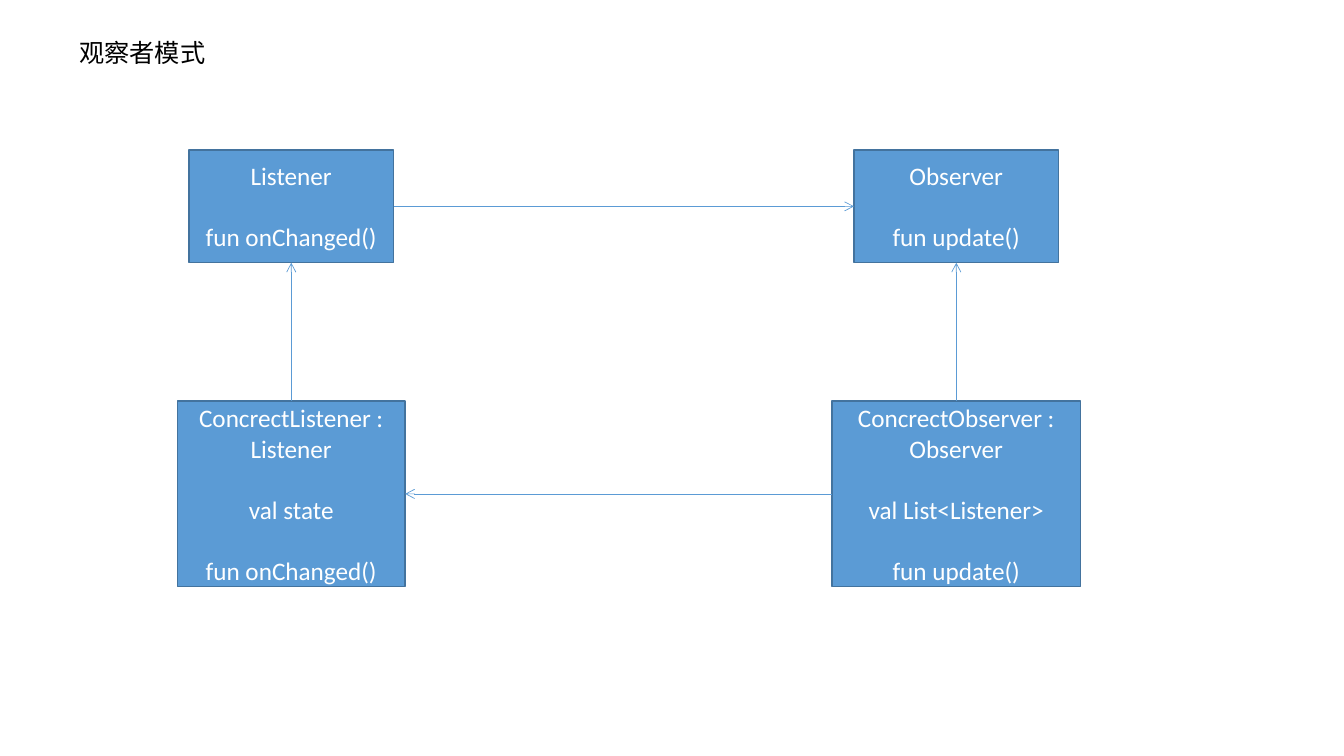
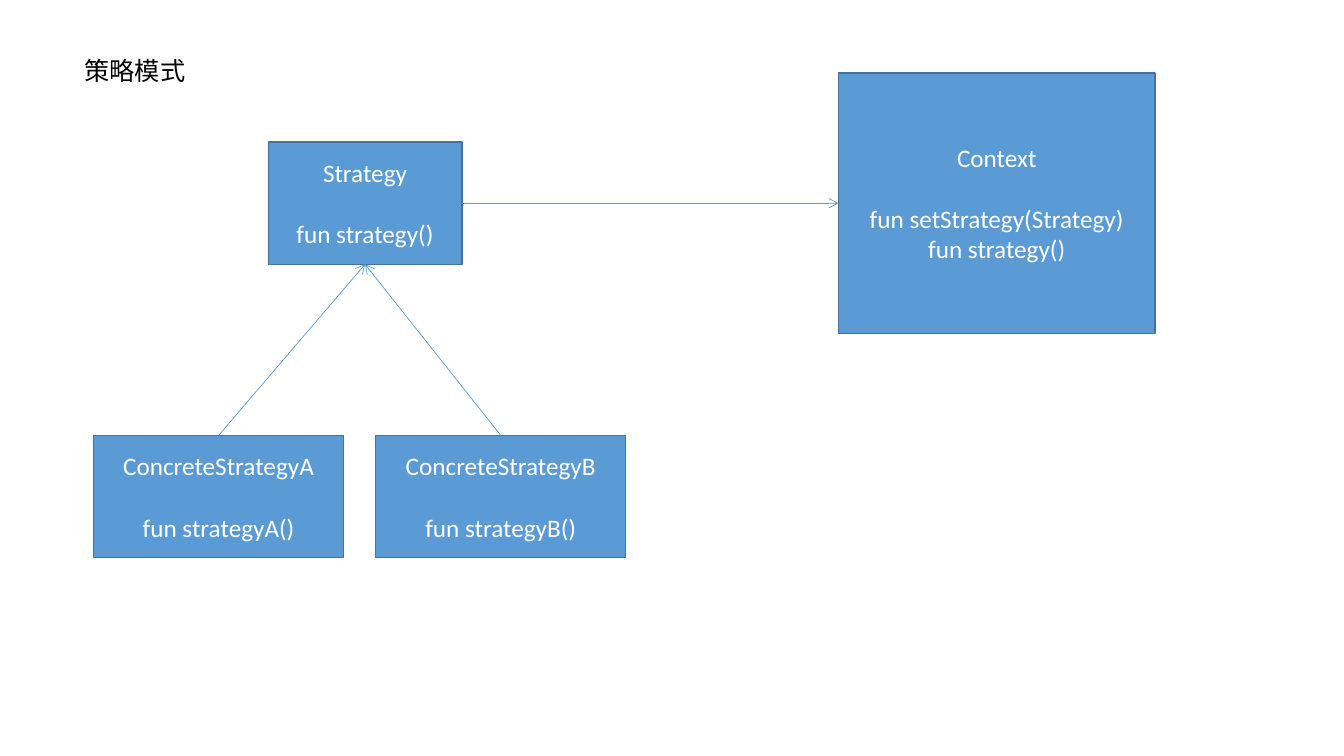
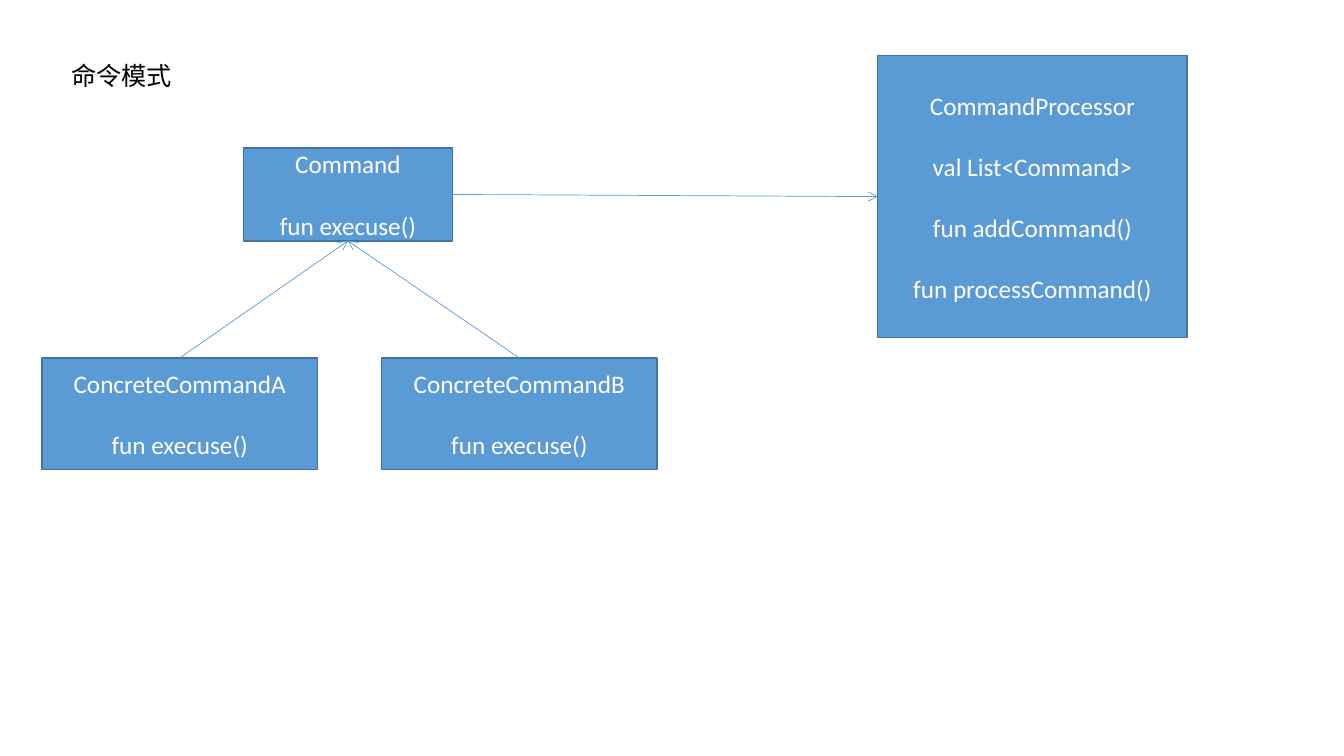
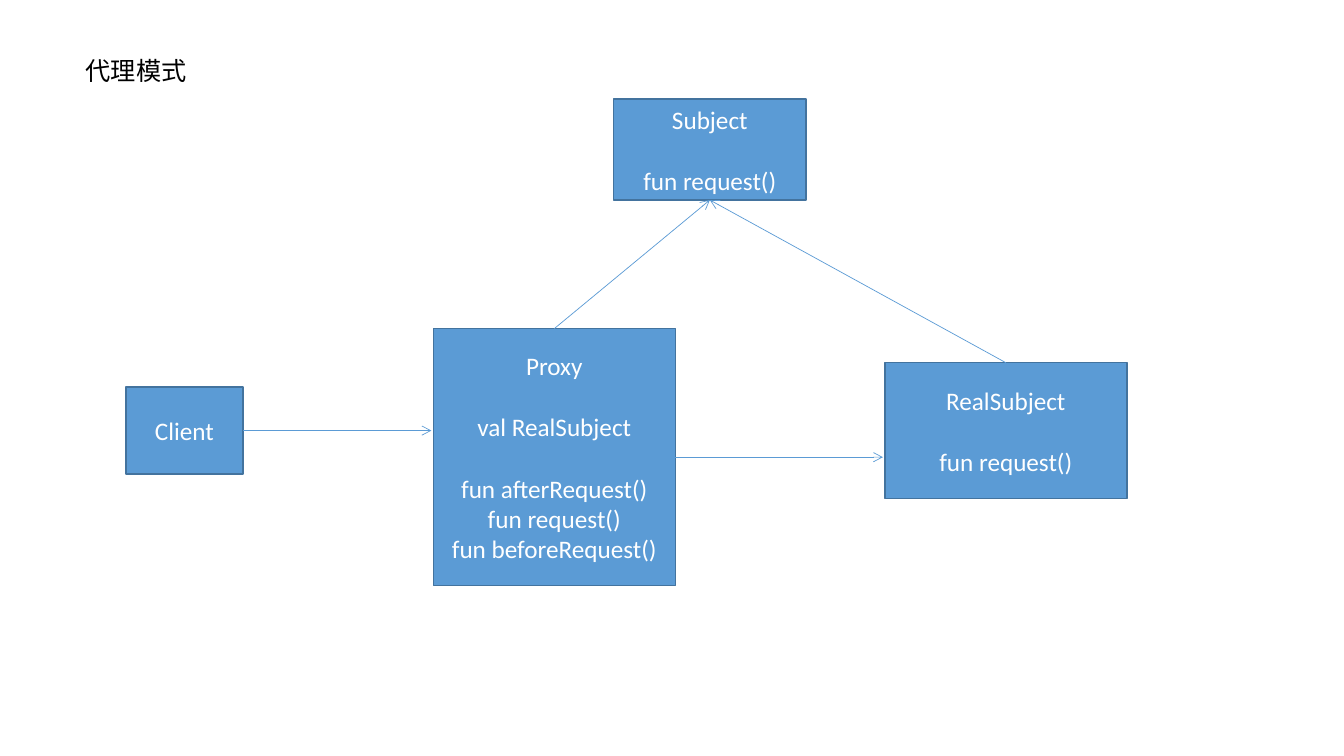
from lxml import etree
from pptx import Presentation
from pptx.dml.color import RGBColor
from pptx.enum.shapes import MSO_CONNECTOR, MSO_SHAPE
from pptx.enum.text import MSO_ANCHOR, MSO_AUTO_SIZE, PP_ALIGN
from pptx.oxml.ns import qn
from pptx.util import Cm, Pt

RECT = MSO_SHAPE.RECTANGLE
STRAIGHT = MSO_CONNECTOR.STRAIGHT
MIDDLE = MSO_ANCHOR.MIDDLE
GROW = MSO_AUTO_SIZE.SHAPE_TO_FIT_TEXT
LEFT, CENTER = PP_ALIGN.LEFT, PP_ALIGN.CENTER

BLUE, EDGE, WHITE, BLACK = "5B9BD5", "43739E", "FFFFFF", "000000"
FONT = {"name": "Calibri", "size": Pt(18)}
GAP = Pt(22)
INSET = 0.05
T, L, B, R = range(4)
LEVEL = None

# Each box: centre x, top, width, height, text groups. Each link: from, side, to, side.
SLIDES = [
    {
        "title": ("观察者模式", 1.75, 0.81, 3.68),
        "boxes": [
            (7.34, 3.78, 5.16, 2.84, ["Listener", "fun onChanged()"]),
            (24.1, 3.78, 5.16, 2.84, ["Observer", "fun update()"]),
            (7.34, 10.11, 5.74, 4.67,
             ["ConcrectListener : Listener", "val state", "fun onChanged()"]),
            (24.1, 10.11, 6.27, 4.67,
             ["ConcrectObserver : Observer", "val List<Listener>", "fun update()"]),
        ],
        "links": [(2, T, 0, B), (0, R, 1, L), (3, T, 1, B), (3, L, 2, R)],
    },
    {
        "title": ("策略模式", 1.88, 1.27, 3.05),
        "boxes": [
            (9.2, 3.58, 4.88, 3.08, ["Strategy", "fun strategy()"]),
            (5.51, 10.97, 6.3, 3.08, ["ConcreteStrategyA", "fun strategyA()"]),
            (12.62, 10.97, 6.3, 3.08, ["ConcreteStrategyB", "fun strategyB()"]),
            (25.12, 1.84, 7.98, 6.56,
             ["Context", "fun setStrategy(Strategy)\nfun strategy()"]),
        ],
        "links": [(1, T, 0, B), (2, T, 0, B), (0, R, 3, L)],
    },
    {
        "title": ("命令模式", 1.55, 1.4, 3.05),
        "boxes": [
            (8.77, 3.73, 5.28, 2.34, ["Command", "fun execuse()"]),
            (4.53, 9.02, 6.94, 2.81, ["ConcreteCommandA", "fun execuse()"]),
            (13.09, 9.02, 6.94, 2.81, ["ConcreteCommandB", "fun execuse()"]),
            (26.02, 1.4, 7.8, 7.11,
             ["CommandProcessor", "val List<Command>", "fun addCommand()",
              "fun processCommand()"]),
        ],
        "links": [(1, T, 0, B), (2, T, 0, B), (0, R, 3, L)],
    },
    {
        "title": ("代理模式", 1.91, 1.27, 3.05),
        "boxes": [
            (4.65, 9.75, 2.95, 2.2, ["Client"]),
            (17.89, 2.5, 4.85, 2.54, ["Subject", "fun request()"]),
            (13.97, 8.28, 6.1, 6.48,
             ["Proxy", "val RealSubject",
              "fun afterRequest()\nfun request()\nfun beforeRequest()"]),
            (25.35, 9.14, 6.1, 3.43, ["RealSubject", "fun request()"]),
        ],
        "links": [(2, T, 1, B), (3, T, 1, B), (2, R, 3, LEVEL), (0, R, 2, LEVEL)],
    },
]


def paint(color, tone):
    color.rgb = RGBColor.from_string(tone)


def apply(item, values):
    for name, value in values.items():
        setattr(item, name, value)


def write(frame, groups, tone, align):
    lines = [(text, row == 0 and part > 0)
             for part, group in enumerate(groups)
             for row, text in enumerate(group.split("\n"))]
    for num, (text, gap) in enumerate(lines):
        para = frame.add_paragraph() if num else frame.paragraphs[0]
        para.alignment = align
        if gap:
            para.space_before = GAP
        run = para.add_run()
        run.text = text
        apply(run.font, FONT)
        paint(run.font.color, tone)


def add_title(slide, text, left, top, width):
    box = slide.shapes.add_textbox(Cm(left), Cm(top), Cm(width), Cm(1.02))
    apply(box.text_frame, {"word_wrap": False, "auto_size": GROW})
    write(box.text_frame, [text], BLACK, LEFT)


def add_box(slide, mid, top, width, height, groups):
    box = slide.shapes.add_shape(
        RECT, Cm(mid - width / 2), Cm(top), Cm(width), Cm(height))
    box.shadow.inherit = False
    box.fill.solid()
    paint(box.fill.fore_color, BLUE)
    paint(box.line.color, EDGE)
    box.line.width = Pt(1)
    apply(box.text_frame, {"word_wrap": True, "vertical_anchor": MIDDLE})
    write(box.text_frame, groups, WHITE, CENTER)
    return box


def add_link(slide, start, side, end, goal):
    link = slide.shapes.add_connector(STRAIGHT, 0, 0, 0, 0)
    link.begin_connect(start, side)
    if goal is LEVEL:
        apply(link, {"end_x": end.left - Cm(INSET), "end_y": link.begin_y})
    else:
        link.end_connect(end, goal)
    paint(link.line.color, BLUE)
    link.line.width = Pt(0.5)
    etree.SubElement(link.line._get_or_add_ln(), qn("a:tailEnd"), type="arrow")
    etree.SubElement(link._element.spPr, qn("a:effectLst"))


def main():
    deck = Presentation()
    apply(deck, {"slide_width": Cm(33.87), "slide_height": Cm(19.05)})
    for data in SLIDES:
        slide = deck.slides.add_slide(deck.slide_layouts[6])
        add_title(slide, *data["title"])
        boxes = [add_box(slide, *box) for box in data["boxes"]]
        for start, side, end, goal in data["links"]:
            add_link(slide, boxes[start], side, boxes[end], goal)
    deck.save("out.pptx")


if __name__ == "__main__":
    main()
